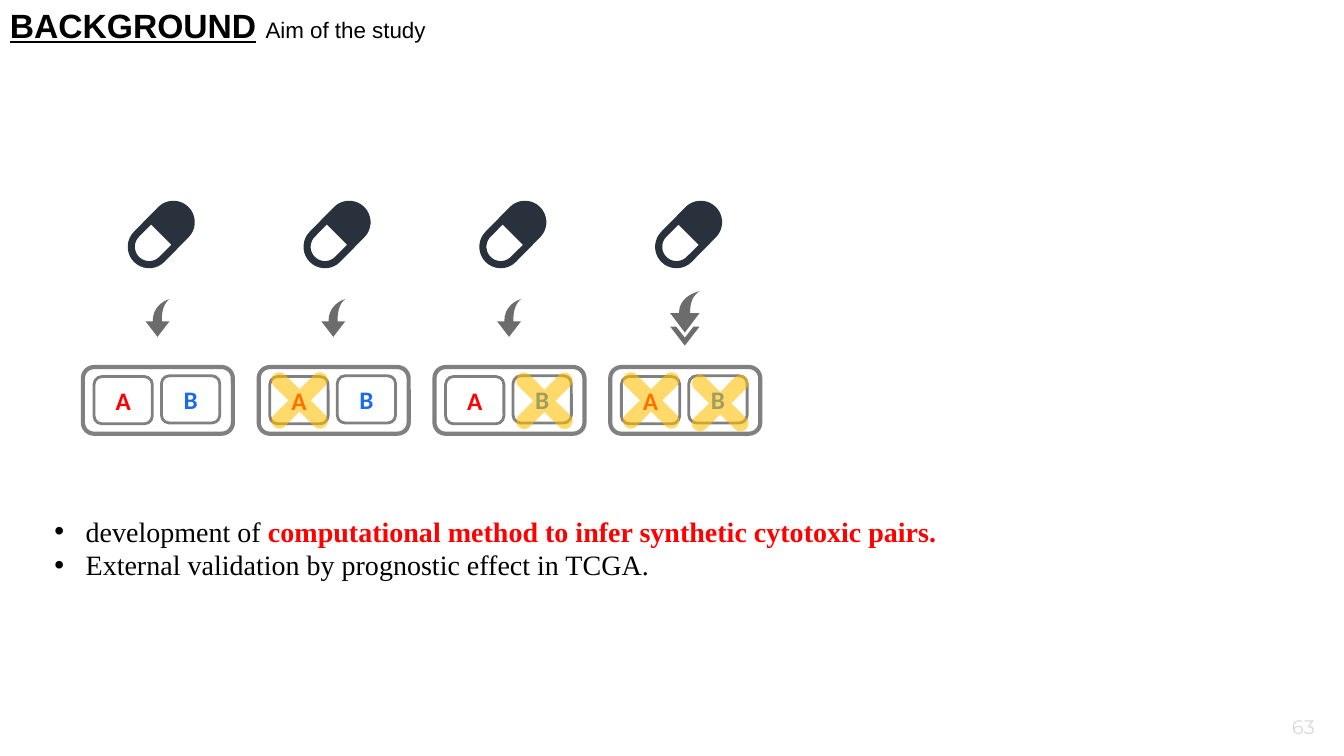
from math import cos, radians, sin

from lxml import etree
from pptx import Presentation
from pptx.dml.color import RGBColor
from pptx.enum.shapes import MSO_SHAPE
from pptx.enum.text import MSO_ANCHOR, PP_ALIGN
from pptx.oxml.ns import qn
from pptx.util import Cm, Pt

ROUNDED = MSO_SHAPE.ROUNDED_RECTANGLE
MIDDLE = MSO_ANCHOR.MIDDLE
CENTER = PP_ALIGN.CENTER
COLORS = {
    "black": "000000", "red": "FF0000", "blue": "1C6BEC", "frame": "808080",
    "pill": "28313C", "arrow": "6C6C6C", "cross": "FFC000", "number": "D9D9D9",
}


def arc(x, y, radius, start):
    """Points of a half circle, in cm."""
    angles = [radians(start + step) for step in range(0, 181, 10)]
    return [(x + radius * cos(a), y + radius * sin(a)) for a in angles]


def add_outline(contours, color):
    """Draw closed contours, given in cm, as one filled shape."""
    builder = None
    for contour in contours:
        points = [(Cm(x), Cm(y)) for x, y in contour]
        if builder is None:
            builder = slide.shapes.build_freeform(*points[0], scale=1.0)
        else:
            builder.move_to(*points[0])
        builder.add_line_segments(points[1:], close=True)
    outline = builder.convert_to_shape()
    outline.shadow.inherit = False
    outline.fill.solid()
    outline.fill.fore_color.rgb = RGBColor.from_string(COLORS[color])
    outline.line.fill.background()
    return outline


prs = Presentation()
prs.slide_width, prs.slide_height = Cm(33.87), Cm(19.05)
slide = prs.slides.add_slide(prs.slide_layouts[6])

# Title, aims and slide number
ARIAL = {"name": "Arial", "size": Pt(24), "bold": True}
TIMES = {"name": "Times New Roman", "size": Pt(20)}
text_blocks = [
    ((0, 0, 11.13, 1.27), False, False, None, [[
        ("BACKGROUND", "black", {**ARIAL, "underline": True}),
        (" ", "black", ARIAL),
        ("Aim of the study", "black", {"name": "Arial", "size": Pt(16)}),
    ]]),
    ((1.12, 12.83, 30, 1.96), True, True, None, [
        [("development of ", "black", TIMES),
         ("computational method to infer synthetic cytotoxic pairs.", "red",
          {**TIMES, "bold": True})],
        [("External validation by prognostic effect in TCGA.", "black", TIMES)],
    ]),
    ((32, 17.88, 1.7, 0.86), True, False, CENTER, [
        [("63", "number", {"name": "Montserrat", "size": Pt(14)})],
    ]),
]
for place, wrap, bulleted, alignment, lines in text_blocks:
    frame = slide.shapes.add_textbox(*map(Cm, place)).text_frame
    frame.word_wrap = wrap
    for index, line in enumerate(lines):
        paragraph = frame.add_paragraph() if index else frame.paragraphs[0]
        paragraph.alignment = alignment
        if bulleted:
            properties = paragraph._p.get_or_add_pPr()
            properties.set("marL", str(Cm(0.79)))
            properties.set("indent", str(-Cm(0.79)))
            etree.SubElement(properties, qn("a:buFont"), typeface="Arial")
            etree.SubElement(properties, qn("a:buChar"), char="•")
        for text, color, values in line:
            run = paragraph.add_run()
            run.text = text
            run.font.color.rgb = RGBColor.from_string(COLORS[color])
            for key, value in values.items():
                setattr(run.font, key, value)

# Four cells: knocked-out genes as cross centres, and strength of the effect
CELL_LEFT, CELL_STEP, CELL_TOP = 2.09, 4.43, 9.25
CROSS_A, CROSS_B, CROSS_B_LOW = (1.03, 10.09), (2.77, 10.1), (2.77, 10.16)
WEAK = {"half": 0.3, "top": 7.54, "neck": 8.1, "tip": 8.49}
STRONG = {"half": 0.37, "top": 7.34, "neck": 7.89, "tip": 8.38}
cells = [([], WEAK), ([CROSS_A], WEAK), ([CROSS_B], WEAK),
         ([CROSS_A, CROSS_B_LOW], STRONG)]

for number, (crosses, effect) in enumerate(cells):
    left = CELL_LEFT + number * CELL_STEP

    # Pill with a hollow lower half
    low_x, low_y = left + 1.67, 6.22
    shell = arc(low_x, low_y, 0.54, 45) + arc(low_x + 0.61, low_y - 0.62, 0.54, 225)
    hollow = arc(low_x, low_y, 0.36, 45) + [(left + 1.72, 5.66), (left + 2.23, 6.17)]
    add_outline([shell, hollow], "pill")

    # Bent arrow, with a chevron below the strong one
    axis, half, neck = left + 1.88, effect["half"], effect["neck"]
    rise = neck - effect["top"]
    stem_left, stem_right = axis - 0.4 * half, axis + 0.36 * half
    peak = (axis + half, effect["top"])
    bends = [
        ((stem_left, neck), (stem_left, neck - 0.82 * rise), peak, peak),
        (peak, (stem_right + 0.1 * half, neck - 0.77 * rise),
         (stem_right, neck - 0.4 * rise), (stem_right, neck)),
    ]
    arrow = [(axis + half, neck), (axis, effect["tip"]), (axis - half, neck)]
    for bend in bends:
        for t in [step / 10 for step in range(11)]:
            weights = ((1 - t) ** 3, 3 * t * (1 - t) ** 2, 3 * t * t * (1 - t), t ** 3)
            arrow.append(tuple(sum(w * point[i] for w, point in zip(weights, bend))
                               for i in (0, 1)))
    contours = [arrow]
    if effect is STRONG:
        contours.append([(axis + x, y) for x, y in (
            (-0.37, 8.23), (0, 8.71), (0.37, 8.23), (0.22, 8.23), (0, 8.51), (-0.22, 8.23))])
    add_outline(contours, "arrow")

    # Cell frame and its two genes
    boxes = [
        ((left, CELL_TOP, 3.78, 1.68), 3, "", "black"),
        ((left + 0.28, CELL_TOP + 0.24, 1.47, 1.19), 2, "A", "red"),
        ((left + 1.98, CELL_TOP + 0.22, 1.47, 1.19), 2, "B", "blue"),
    ]
    for place, width, gene, color in boxes:
        box = slide.shapes.add_shape(ROUNDED, *map(Cm, place))
        box.shadow.inherit = False
        box.fill.background()
        box.line.color.rgb = RGBColor.from_string(COLORS["frame"])
        box.line.width = Pt(width)
        if gene:
            box.text_frame.vertical_anchor = MIDDLE
            label = box.text_frame.paragraphs[0]
            label.text = gene
            label.alignment = CENTER
            label.font.color.rgb = RGBColor.from_string(COLORS[color])
            for key, value in {"name": "Calibri", "size": Pt(18), "bold": True}.items():
                setattr(label.font, key, value)

    # Translucent crosses over knocked-out genes
    for offset, middle in crosses:
        center = left + offset
        cross = []
        for turn in (45, 135, 225, 315):
            arm, notch = radians(turn), radians(turn + 45)
            cross += arc(center + 0.72 * cos(arm), middle + 0.72 * sin(arm), 0.2, turn - 90)
            cross.append((center + 0.28 * cos(notch), middle + 0.28 * sin(notch)))
        shape = add_outline([cross], "cross")
        tint = shape._element.spPr.find(qn("a:solidFill")).find(qn("a:srgbClr"))
        etree.SubElement(tint, qn("a:alpha"), val="59000")

prs.save("out.pptx")
